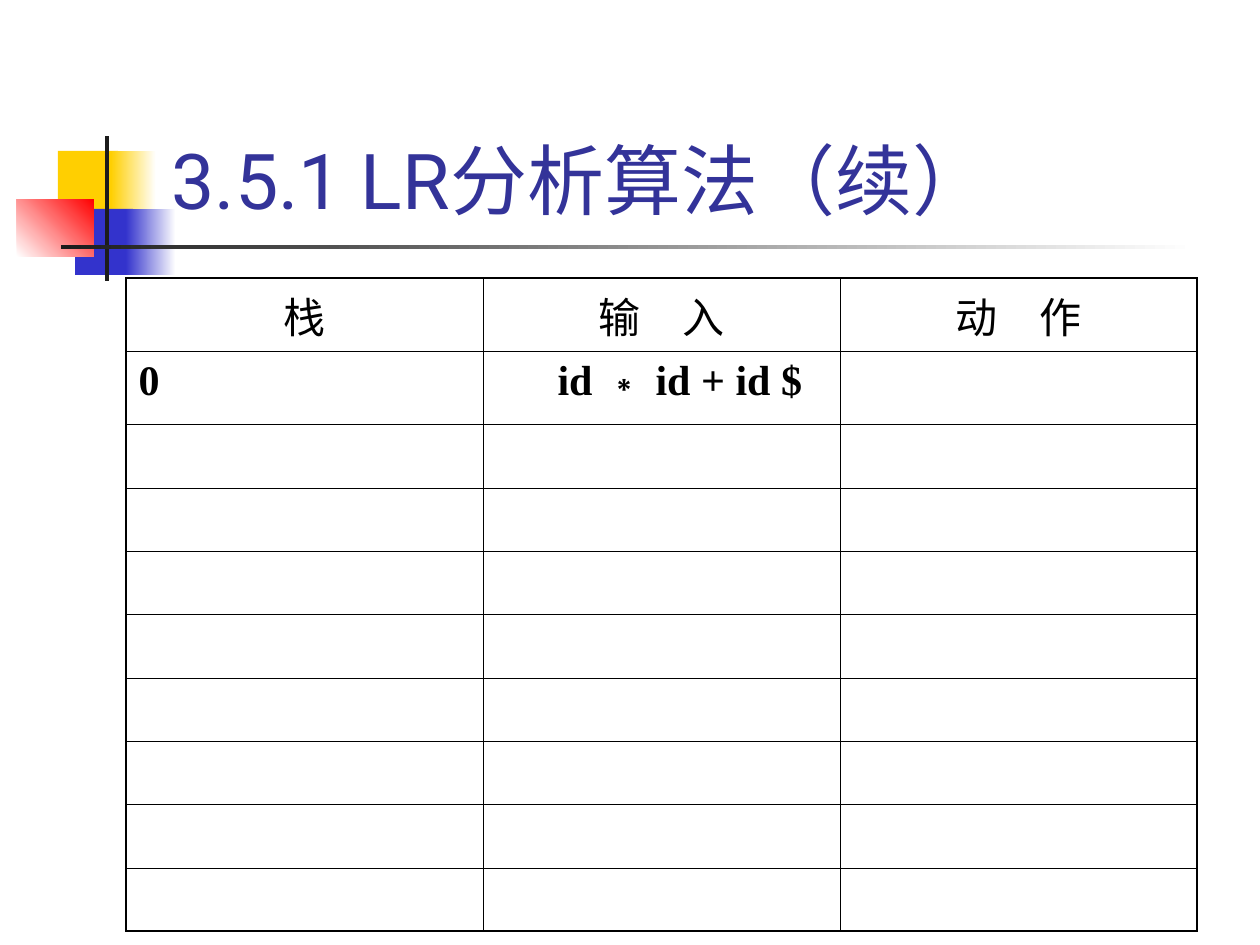
import pptx
import pptx.util
import pptx.dml.color
import pptx.enum.shapes
import pptx.enum.text
import pptx.oxml
import pptx.oxml.ns

PX = 914400 // 126
RGB = pptx.dml.color.RGBColor
YELLOW = RGB(0xFF, 0xCF, 0x01)
BLUE = RGB(0x33, 0x33, 0xCC)
RED = RGB(0xFF, 0x00, 0x00)
DARK = RGB(0x1C, 0x1C, 0x1C)
WHITE = RGB(0xFF, 0xFF, 0xFF)
BLACK = RGB(0x00, 0x00, 0x00)
TITLE = RGB(0x33, 0x33, 0x99)
ALIGN = pptx.enum.text.PP_ALIGN
CJK = "Noto Sans CJK SC"
SERIF = "Times New Roman"


def emu(*lengths):
    return [n * PX for n in lengths]


def add_run(p, text, color, **formats):
    r = p.add_run()
    r.text = text
    r.font.color.rgb = color
    for name, value in formats.items():
        setattr(r.font, name, value)
    ea = pptx.oxml.ns.qn("a:ea")
    r.font._element.get_or_add_latin().addnext(r.font._element.makeelement(ea, {"typeface": CJK}))


def add_block(s, box, start, end=None, angle=0):
    sp = s.shapes.add_shape(pptx.enum.shapes.MSO_SHAPE.RECTANGLE, *emu(*box))
    sp.shadow.inherit = False
    sp.line.fill.background()
    if end is None:
        sp.fill.solid()
        sp.fill.fore_color.rgb = start
        return
    sp.fill.gradient()
    sp.fill.gradient_angle = angle
    for stop, color in zip(sp.fill.gradient_stops, (start, end)):
        stop.color.rgb = color


def add_ornament(s, x, y):
    add_block(s, (x + 41, y + 15, 60, 66), YELLOW)
    add_block(s, (x + 94, y + 15, 45, 66), YELLOW, WHITE)
    add_block(s, (x + 58, y + 73, 58, 66), BLUE)
    add_block(s, (x + 109, y + 73, 50, 66), BLUE, WHITE)
    add_block(s, (x, y + 63, 77, 58), WHITE, RED, 45)
    add_block(s, (x + 88, y, 4, 145), DARK)
    add_block(s, (x + 44, y + 109, 1134, 4), DARK, WHITE)


def add_title(s, box, text):
    sp = s.shapes.title
    for name, value in zip(("left", "top", "width", "height"), emu(*box)):
        setattr(sp, name, value)
    tf = sp.text_frame
    formats = {
        "word_wrap": True,
        "auto_size": pptx.enum.text.MSO_AUTO_SIZE.NONE,
        "vertical_anchor": pptx.enum.text.MSO_ANCHOR.BOTTOM,
    }
    for name, value in formats.items():
        setattr(tf, name, value)
    p = tf.paragraphs[0]
    p.alignment = ALIGN.LEFT
    add_run(p, text, TITLE, name="Roboto", size=pptx.util.Pt(44))


def set_borders(cell, outer):
    tcPr = cell._tc.get_or_add_tcPr()
    for i, side in enumerate("LRTB"):
        width = pptx.util.Pt(1.08 if side in outer else 0.45)
        tcPr.insert(i, pptx.oxml.parse_xml(
            f'<a:ln{side} {pptx.oxml.ns.nsdecls("a")} w="{width}"><a:solidFill>'
            f'<a:srgbClr val="{BLACK}"/></a:solidFill></a:ln{side}>'))


def add_table(s, box, headers, first_row, count):
    last = len(headers) - 1
    table = s.shapes.add_table(count, last + 1, *emu(*box)).table
    table.first_row = table.horz_banding = False
    for column in table.columns:
        column.width = box[2] * PX // len(headers)
    tall = 73
    for i, row in enumerate(table.rows):
        row.height = tall * PX if i < 2 else (box[3] - 2 * tall) * PX // (count - 2)
        for j, cell in enumerate(row.cells):
            cell.fill.background()
            edges = {"L": j == 0, "R": j == last, "T": i == 0, "B": i == count - 1}
            set_borders(cell, [side for side, outer in edges.items() if outer])
    size = pptx.util.Pt(24)
    for j, text in enumerate(headers):
        p = table.cell(0, j).text_frame.paragraphs[0]
        p.alignment = ALIGN.CENTER
        add_run(p, text, BLACK, name=CJK, size=size)
    for j, (indent, runs) in enumerate(first_row):
        p = table.cell(1, j).text_frame.paragraphs[0]
        p._p.get_or_add_pPr().set("marL", str(indent * PX))
        for text, font in runs:
            add_run(p, text, BLACK, name=font, size=size, bold=True)


def main():
    prs = pptx.Presentation()
    prs.slide_width = pptx.util.Inches(10)
    prs.slide_height = pptx.util.Inches(7.5)
    s = prs.slides.add_slide(prs.slide_layouts[5])
    add_ornament(s, 17, 136)
    add_title(s, (159, 29, 1074, 202), "3.5.1 LR分析算法（续）")
    first_row = [
        (0, [("0", SERIF)]),
        (62, [("id ", SERIF), ("∗", "Arial"), (" id + id $", SERIF)]),
    ]
    add_table(s, (126, 278, 1071, 653), ["栈", "输　入", "动　作"], first_row, 10)
    prs.save("out.pptx")


if __name__ == "__main__":
    main()
